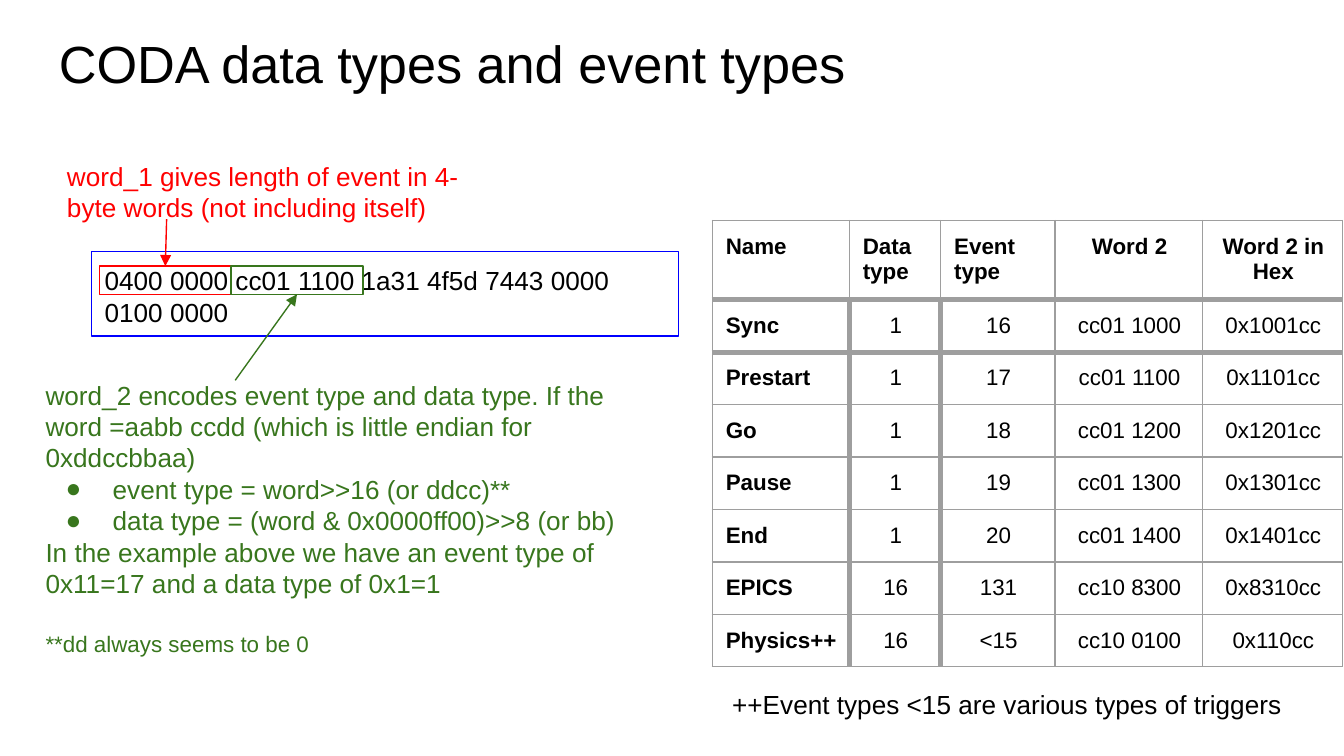
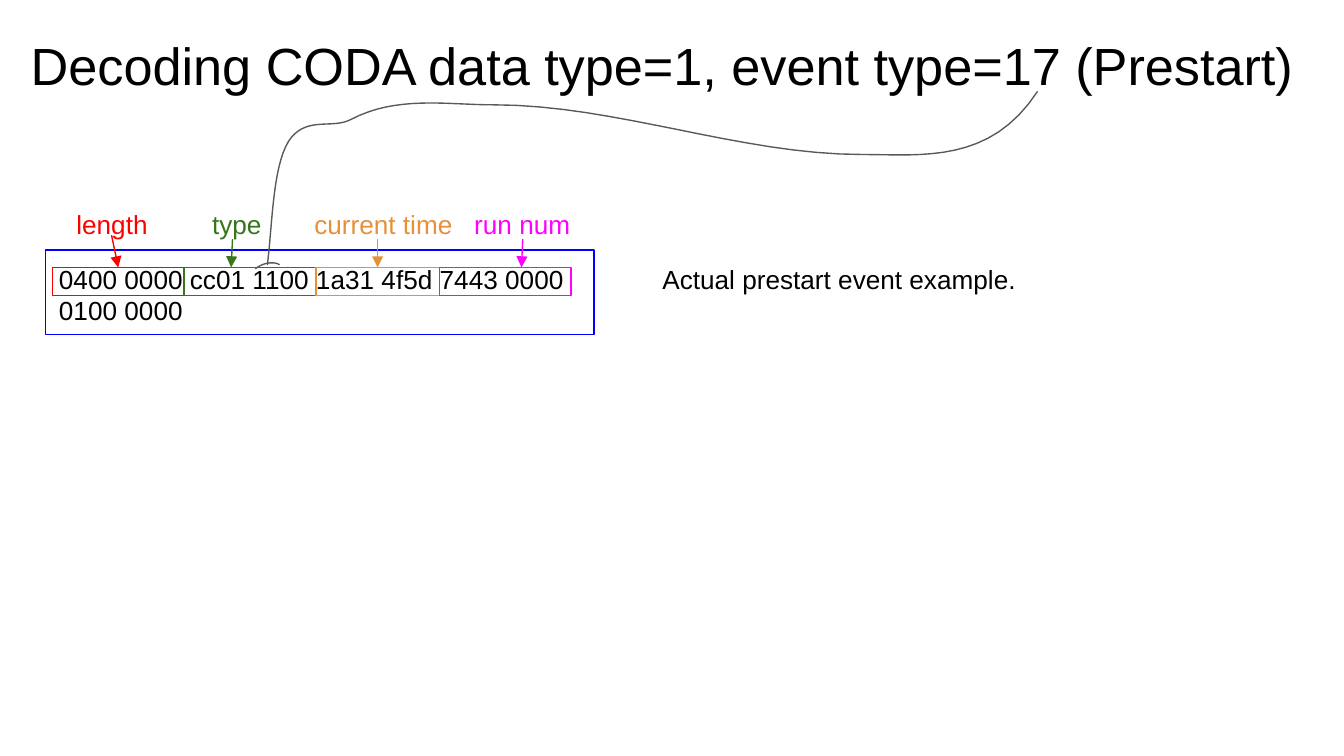
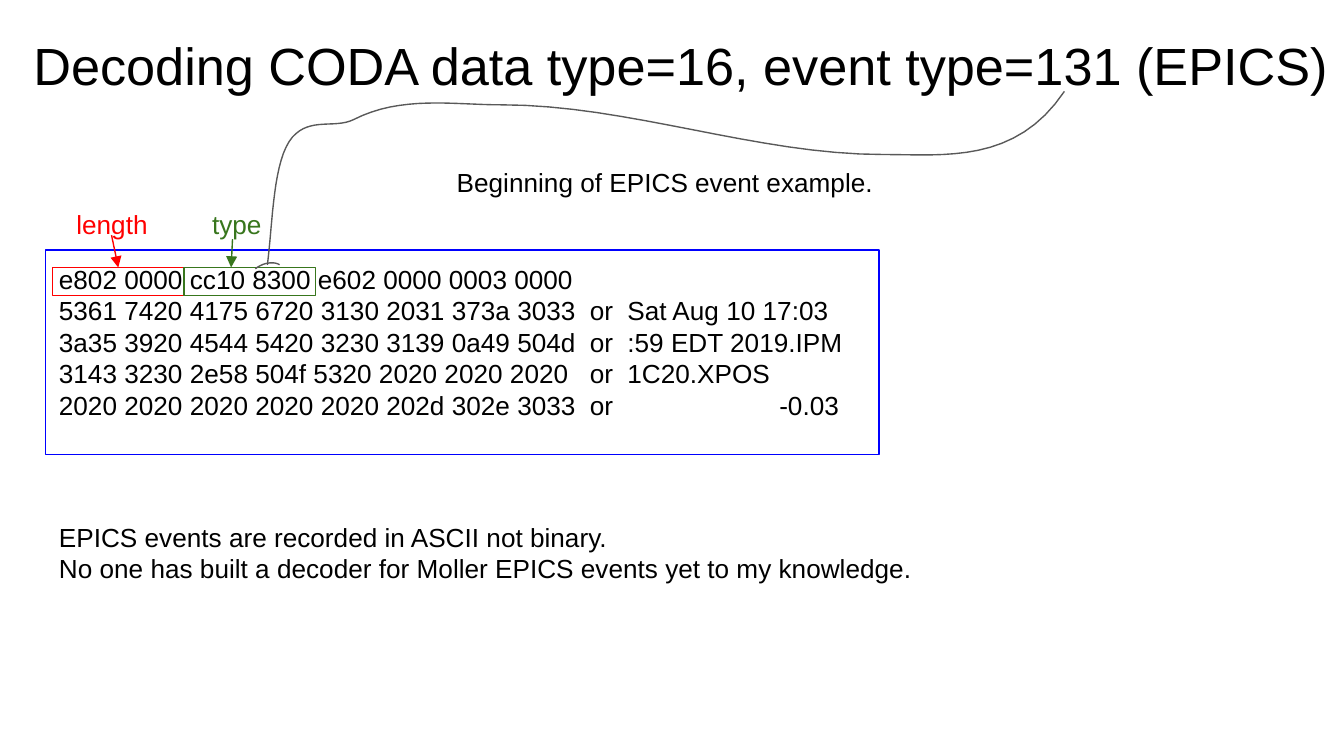
from dataclasses import dataclass
from typing import Optional

from lxml import etree
from pptx import Presentation
from pptx import util as u
from pptx.dml.color import RGBColor
from pptx.enum import shapes, text
from pptx.oxml.ns import qn

FONT = "Arial"
BLACK, RED, GREEN = "000000", "FF0000", "38761D"
ORANGE, MAGENTA, BLUE = "E69138", "FF00FF", "0000FF"
GRID, CURVE = "9E9E9E", "595959"
THIN, THICK = 0.75, 3
TITLE_SIZE, BODY_SIZE, SMALL_SIZE = 28, 14, 12
TOP, BOTTOM = 0, 2  # connection sites of a rectangle
FIELD_HEIGHT = 0.21
SLIDE_WIDTH = 10

PRESTART_WORDS = ["0400 0000 cc01 1100 1a31 4f5d 7443 0000", "0100 0000"]

# Route from the title's event type to the type word: start, then cubic pieces
ROUTE_LEFT, ROUTE_WIDTH = 1.99, 5.73
ROUTE = [
    (7.72, 0.68),
    (7.37, 1.22), (6.86, 1.15), (6.42, 1.15),
    (5.5, 1.15), (4.59, 0.78), (3.67, 0.78),
    (3.32, 0.78), (2.95, 0.71), (2.61, 0.89),
    (2.47, 0.96), (2.3, 0.87), (2.17, 1.02),
    (2.03, 1.19), (2.03, 1.64), (1.99, 1.97),
]
BRACE = [(1.9, 2), (1.95, 1.96), (2.03, 1.94), (2.08, 1.97)]

EVENT_TABLE = [
    ["Name", "Data type", "Event type", "Word 2", "Word 2 in Hex"],
    ["Sync", "1", "16", "cc01 1000", "0x1001cc"],
    ["Prestart", "1", "17", "cc01 1100", "0x1101cc"],
    ["Go", "1", "18", "cc01 1200", "0x1201cc"],
    ["Pause", "1", "19", "cc01 1300", "0x1301cc"],
    ["End", "1", "20", "cc01 1400", "0x1401cc"],
    ["EPICS", "16", "131", "cc10 8300", "0x8310cc"],
    ["Physics++", "16", "<15", "cc10 0100", "0x110cc"],
]
COLUMN_WIDTHS = [1.02, 0.68, 0.85, 1.1, 1.04]


@dataclass
class Field:
    """A labelled word of the event, with the arrow from label to word."""
    label: str
    color: str
    width: float
    label_left: float
    label_width: float
    arrow_start: tuple
    arrow_end: tuple
    site: Optional[int] = None


LENGTH = Field("length", RED, 0.98, 0.47, 0.76, (0.83, 1.75), (0.88, 1.99), TOP)
TYPE = Field("type", GREEN, 0.98, 1.48, 0.76, (1.73, 1.78), (1.72, 1.99))
TIME = Field("current time", ORANGE, 0.92, 2.24, 1.52, (2.81, 1.78), (2.8, 1.99), TOP)
RUN = Field("run num", MAGENTA, 0.98, 3.43, 1.41, (3.89, 1.78), (3.88, 1.99))


def rgb(value: str) -> RGBColor:
    return RGBColor.from_string(value)


def inches(*values: float) -> list:
    return [u.Inches(value) for value in values]


def style(para, color: str, size: float, bold: bool = False) -> None:
    for span in para.runs:
        span.font.name = FONT
        span.font.size = u.Pt(size)
        span.font.bold = bold
        span.font.color.rgb = rgb(color)


def fill_text(frame, lines: list, color: str, size: float) -> None:
    frame.word_wrap = True
    frame.vertical_anchor = text.MSO_ANCHOR.TOP
    frame.margin_left = frame.margin_right = u.Inches(0.1)
    frame.margin_top = frame.margin_bottom = u.Inches(0.1)
    frame.text = "\n".join(lines)
    for para in frame.paragraphs:
        para.alignment = text.PP_ALIGN.LEFT
        style(para, color, size)


def add_text(page, place: tuple, lines: list, color: str = BLACK,
             size: float = BODY_SIZE):
    box = page.shapes.add_textbox(*inches(*place))
    fill_text(box.text_frame, lines, color, size)
    return box


def add_title(page, place: tuple, title: str) -> None:
    add_text(page, place, [title], size=TITLE_SIZE)


def outline(shape, color: str) -> None:
    shape.shadow.inherit = False
    shape.fill.background()
    shape.line.color.rgb = rgb(color)
    shape.line.width = u.Pt(THIN)


def add_frame(page, place: tuple, color: str):
    box = page.shapes.add_shape(shapes.MSO_SHAPE.RECTANGLE, *inches(*place))
    outline(box, color)
    return box


def add_event(page, place: tuple, lines: list):
    box = add_frame(page, place, BLUE)
    fill_text(box.text_frame, lines, BLACK, BODY_SIZE)
    return box


def add_arrow(page, start: tuple, end: tuple, color: str, target=None,
              site: Optional[int] = None) -> None:
    arrow = page.shapes.add_connector(
        shapes.MSO_CONNECTOR.STRAIGHT, *inches(*start, *end))
    arrow.line.color.rgb = rgb(color)
    arrow.line.width = u.Pt(THIN)
    etree.SubElement(arrow.line._get_or_add_ln(), qn("a:tailEnd"), type="triangle")
    etree.SubElement(arrow._element.spPr, qn("a:effectLst"))
    if site is not None:
        arrow.end_connect(target, site)


def add_curve(page, points: list, steps: int = 16) -> None:
    """Draw a chain of cubic curves through closely spaced points."""
    trace = []
    for first in range(0, len(points) - 1, 3):
        corners = points[first:first + 4]
        for step in range(1, steps + 1):
            t = step / steps
            weights = ((1 - t) ** 3, 3 * t * (1 - t) ** 2, 3 * t * t * (1 - t), t ** 3)
            trace.append(inches(*(
                sum(w * corner[axis] for w, corner in zip(weights, corners))
                for axis in (0, 1))))
    builder = page.shapes.build_freeform(*inches(*points[0]))
    builder.add_line_segments(trace, close=False)
    outline(builder.convert_to_shape(), CURVE)


def add_route(page, width: float) -> None:
    scale = width / ROUTE_WIDTH
    add_curve(page, [(ROUTE_LEFT + (x - ROUTE_LEFT) * scale, y) for x, y in ROUTE])
    add_curve(page, BRACE)


def add_fields(page, fields: list) -> None:
    left = 0.39
    for field in fields:
        box = add_frame(page, (left, 1.99, field.width, FIELD_HEIGHT), field.color)
        add_text(page, (field.label_left, 1.45, field.label_width, 0.46),
                 [field.label], field.color)
        add_arrow(page, field.arrow_start, field.arrow_end, field.color, box, field.site)
        left += field.width


def set_bullet(para, color: str) -> None:
    props = para._p.get_or_add_pPr()
    props.set("marL", str(u.Inches(0.5)))
    props.set("indent", str(u.Inches(-0.35)))
    bullet_color = etree.SubElement(props, qn("a:buClr"))
    etree.SubElement(bullet_color, qn("a:srgbClr"), val=color)
    etree.SubElement(props, qn("a:buFont"), typeface=FONT)
    etree.SubElement(props, qn("a:buChar"), char="●")


def set_tabs(para, stops: list) -> None:
    tabs = etree.SubElement(para._p.get_or_add_pPr(), qn("a:tabLst"))
    for stop in stops:
        etree.SubElement(tabs, qn("a:tab"), pos=str(u.Inches(stop)), algn="l")


def set_borders(cell, heavy: set) -> None:
    props = cell._tc.get_or_add_tcPr()
    for side in "LRTB":
        width = THICK if side in heavy else THIN
        line = etree.SubElement(props, qn(f"a:ln{side}"), w=str(u.Pt(width)))
        fill = etree.SubElement(line, qn("a:solidFill"))
        etree.SubElement(fill, qn("a:srgbClr"), val=GRID)


def heavy_sides(row: int, column: int) -> set:
    """Heavy rules enclose the Sync row and, below the header, the data types."""
    heavy = set()
    if row in (1, 2):
        heavy.add("T")
    if row in (0, 1):
        heavy.add("B")
    if row and column in (1, 2):
        heavy.add("L")
    if row and column in (0, 1):
        heavy.add("R")
    return heavy


def fill_cell(cell, value: str, heading: bool, centered: bool) -> None:
    cell.margin_left = cell.margin_top = u.Inches(0.1)
    cell.margin_right = cell.margin_bottom = u.Inches(0.09)
    cell.text_frame.text = value
    para = cell.text_frame.paragraphs[0]
    para.alignment = text.PP_ALIGN.CENTER if centered else text.PP_ALIGN.LEFT
    style(para, BLACK, SMALL_SIZE, heading)


def add_event_table(page) -> None:
    place = inches(5.3, 1.64, sum(COLUMN_WIDTHS), 3.14)
    table = page.shapes.add_table(len(EVENT_TABLE), len(COLUMN_WIDTHS), *place).table
    table.first_row = table.horz_banding = False
    for column, width in zip(table.columns, COLUMN_WIDTHS):
        column.width = u.Inches(width)
    for r, values in enumerate(EVENT_TABLE):
        table.rows[r].height = u.Inches(0.37 if r else 0.55)
        for c, value in enumerate(values):
            cell = table.cell(r, c)
            fill_cell(cell, value, heading=r == 0 or c == 0,
                      centered=c > 2 or (r > 0 and c > 0))
            set_borders(cell, heavy_sides(r, c))
            cell.fill.background()


def build_types(page) -> None:
    add_title(page, (0.34, 0.13, 9.32, 0.63), "CODA data types and event types")
    add_event(page, (0.68, 1.87, 4.37, 0.63), PRESTART_WORDS)

    # First word: length
    length_box = add_frame(page, (0.74, 1.98, 0.98, FIELD_HEIGHT), RED)
    add_arrow(page, (1.24, 1.63), (1.23, 1.98), RED, length_box, TOP)
    add_text(page, (0.4, 1.09, 3.31, 0.54),
             ["word_1 gives length of event in 4-byte words (not including itself)"], RED)

    # Second word: event and data type
    type_box = add_frame(page, (1.72, 1.98, 0.98, FIELD_HEIGHT), GREEN)
    add_arrow(page, (1.75, 2.83), (2.21, 2.19), GREEN, type_box, BOTTOM)
    notes = add_text(page, (0.24, 2.72, 4.52, 2.09), [
        "word_2 encodes event type and data type. If the word =aabb ccdd "
        "(which is little endian for 0xddccbbaa)",
        "event type = word>>16 (or ddcc)**",
        "data type = (word & 0x0000ff00)>>8 (or bb)",
        "In the example above we have an event type of 0x11=17 and a data type of 0x1=1",
        "**dd always seems to be 0",
    ], GREEN)
    paras = notes.text_frame.paragraphs
    for para in paras[1:3]:
        set_bullet(para, GREEN)
    paras[-1].space_before = u.Pt(17)
    style(paras[-1], GREEN, SMALL_SIZE)

    add_event_table(page)
    add_text(page, (5.35, 5.02, 4.37, 0.47),
             ["++Event types <15 are various types of triggers"])


def build_prestart(page) -> None:
    add_title(page, (0.13, 0.15, 9.78, 0.63),
              "Decoding CODA data type=1, event type=17 (Prestart)")
    add_event(page, (0.34, 1.86, 4.08, 0.63), PRESTART_WORDS)
    add_fields(page, [LENGTH, TYPE, TIME, RUN])
    add_text(page, (4.83, 1.86, 4.67, 1.2), ["Actual prestart event example."])
    add_route(page, ROUTE_WIDTH)


def build_epics(page) -> None:
    add_title(page, (0.15, 0.15, 9.9, 0.63),
              "Decoding CODA data type=16, event type=131 (EPICS)")
    event = add_event(page, (0.34, 1.86, 6.2, 1.52), [
        "e802 0000 cc10 8300 e602 0000 0003 0000",
        "5361 7420 4175 6720 3130 2031 373a 3033\tor\tSat Aug 10 17:03",
        "3a35 3920 4544 5420 3230 3139 0a49 504d\tor\t:59 EDT 2019.IPM",
        "3143 3230 2e58 504f 5320 2020 2020 2020\tor\t1C20.XPOS",
        "2020 2020 2020 2020 2020 202d 302e 3033\tor\t-0.03",
    ])
    paras = event.text_frame.paragraphs
    for para in paras[1:-1]:
        set_tabs(para, [3.95, 4.23])
    set_tabs(paras[-1], [3.95, 5.36])
    add_fields(page, [LENGTH, TYPE])
    add_text(page, (3.3, 1.14, 4.67, 0.54), ["Beginning of EPICS event example."])
    add_route(page, 5.93)
    add_text(page, (0.34, 3.78, 8.36, 0.54), [
        "EPICS events are recorded in ASCII not binary.",
        "No one has built a decoder for Moller EPICS events yet to my knowledge.",
    ])


def main() -> None:
    deck = Presentation()
    deck.slide_width, deck.slide_height = inches(SLIDE_WIDTH, SLIDE_WIDTH * 9 / 16)
    for build in (build_types, build_prestart, build_epics):
        build(deck.slides.add_slide(deck.slide_layouts[6]))
    deck.save("out.pptx")


if __name__ == "__main__":
    main()
